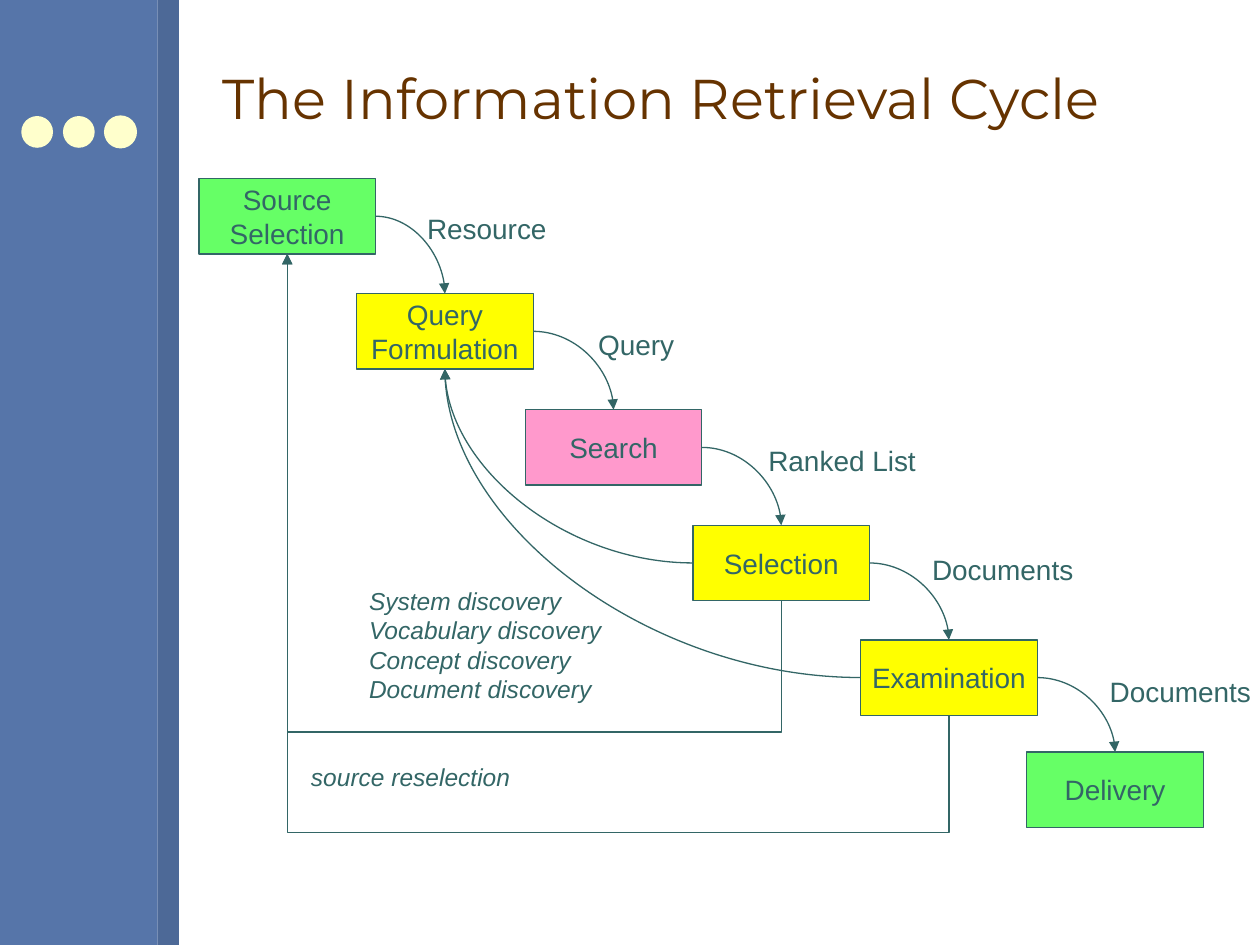
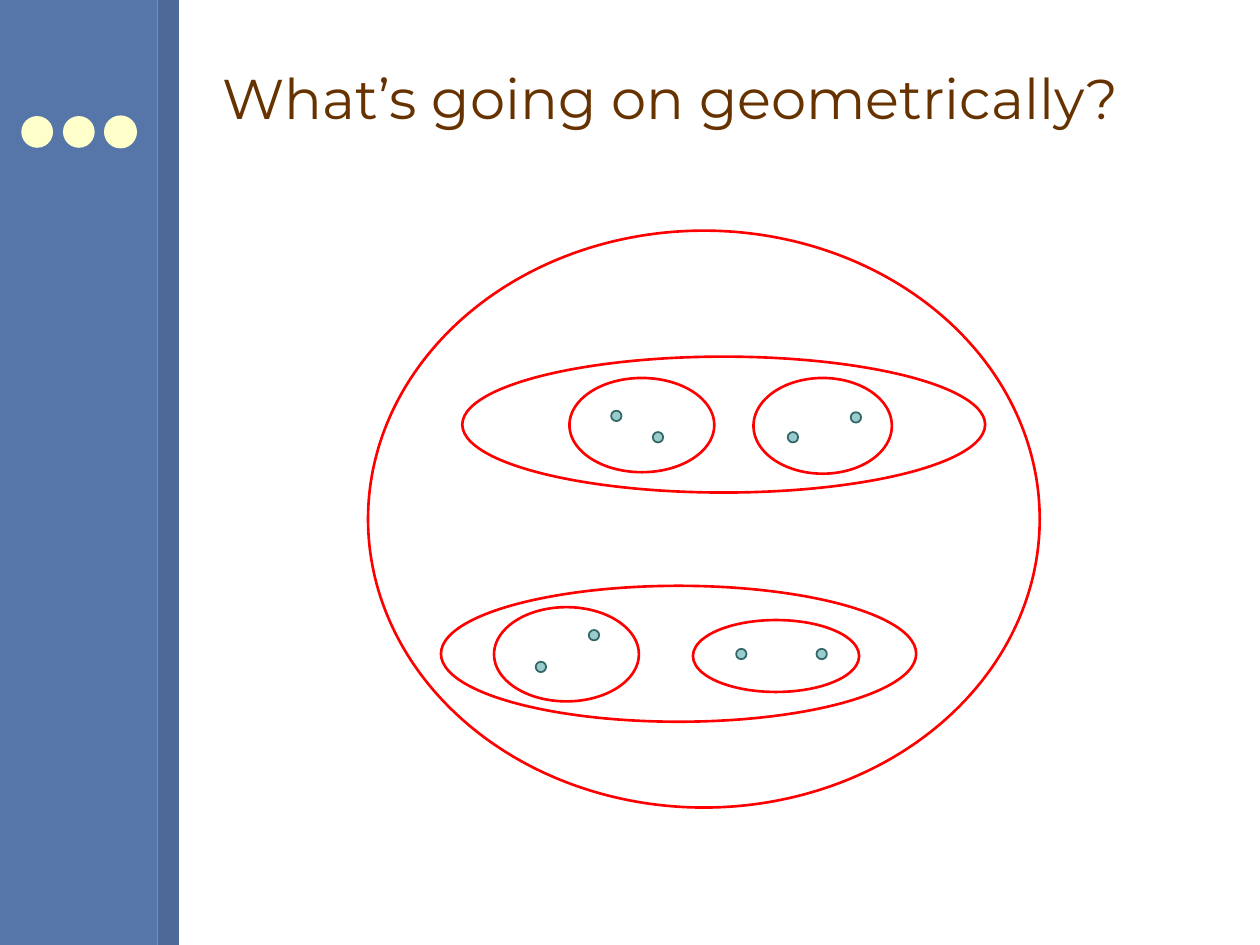
import pptx
import pptx.util
import pptx.dml.color
import pptx.enum.shapes
import pptx.enum.text
import pptx.oxml
import pptx.oxml.ns

Cm = pptx.util.Cm
Pt = pptx.util.Pt
SHAPE = pptx.enum.shapes.MSO_SHAPE
CONNECTOR = pptx.enum.shapes.MSO_CONNECTOR
ANCHOR = pptx.enum.text.MSO_ANCHOR
ALIGN = pptx.enum.text.PP_ALIGN

COLORS = {
    "band": "5675A9", "strip": "4D6997", "dot": "FFFFCC", "title": "663300",
    "ink": "336666", "green": "66FF66", "yellow": "FFFF00", "pink": "FF99CC",
    "point": "99CCCC", "cluster": "FF0000",
}
FONTS = {
    "title": {"name": "Montserrat", "size": Pt(32)},
    "body": {"name": "Arial", "size": Pt(16)},
    "note": {"name": "Arial", "size": Pt(14), "italic": True},
}
INSETS = {"margin_left": Cm(0.25), "margin_right": Cm(0.25),
          "margin_top": Cm(0.13), "margin_bottom": Cm(0.13)}

# Boxes: left, top, width, height in centimetres
PAGE = (0, 0, 25.4, 19.05)
TITLE_BOX = (4.24, 0.53, 20.32, 2.87)
CYCLE_BOX = (4.01, 3.6, 20.25, 13.2)
CLUSTER_BOX = (7.42, 4.65, 13.54, 11.63)

# Text, fill, left, top within the cycle; then the label of the outgoing arrow
# with its distance right of the step, below its top, and its width
STEP_WIDTH, STEP_HEIGHT = 3.56, 1.52
STEPS = [
    ("Source\nSelection", "green", 0, 0, ("Resource", 0.79, 0.54, 2.92)),
    ("Query\nFormulation", "yellow", 3.18, 2.32, ("Query", 1.06, 0.56, 2.06)),
    ("Search", "pink", 6.58, 4.66, ("Ranked List", 1.09, 0.55, 3.48)),
    ("Selection", "yellow", 9.96, 6.99, ("Documents", 1.01, 0.41, 3.35)),
    ("Examination", "yellow", 13.34, 9.3, ("Documents", 1.21, 0.56, 3.35)),
    ("Delivery", "green", 16.69, 11.56, None),
]
NOTES = [
    ("source reselection", (2.01, 11.64, 5.84, 0.86)),
    ("System discovery\nVocabulary discovery\nConcept discovery\nDocument discovery",
     (3.18, 8.08, 5.21, 2.64)),
]
RESELECTION_FLOORS = {3: 11.16, 4: 13.19}  # step: lowest level of its return line

# Positions within the outermost cluster
CLUSTERS = [
    (4.06, 2.97, 2.92, 1.9), (6.55, 7.85, 3.35, 1.45),
    (7.77, 2.97, 2.79, 1.93), (2.54, 7.59, 2.92, 1.9),
    (1.9, 2.54, 10.54, 2.74), (1.47, 7.16, 9.58, 2.74),
    (0, 0, 13.54, 11.63),
]
POINT_SIZE = 0.21
POINTS = [(4.9, 3.63), (5.74, 4.06), (3.38, 8.69), (4.45, 8.05),
          (8.46, 4.06), (9.73, 3.66), (7.42, 8.43), (9.04, 8.43)]


def color(name):
    return pptx.dml.color.RGBColor.from_string(COLORS[name])


def within(box, part):
    """Move a part (left, top, ...) into the given box."""
    return (box[0] + part[0], box[1] + part[1], *part[2:])


def set_attributes(target, values):
    for name, value in values.items():
        setattr(target, name, value)


def write(shape, text, font, ink="ink", align=ALIGN.LEFT, anchor=ANCHOR.TOP, wrap=False):
    frame = shape.text_frame
    set_attributes(frame, {**INSETS, "text": text, "vertical_anchor": anchor,
                           "word_wrap": wrap})
    for paragraph in frame.paragraphs:
        paragraph.alignment = align
        set_attributes(paragraph.font, FONTS[font])
        paragraph.font.color.rgb = color(ink)


def add_text(slide, box, text, font, **options):
    write(slide.shapes.add_textbox(*map(Cm, box)), text, font, **options)


def add_shape(slide, kind, box, fill=None, line=None, weight=0.75):
    shape = slide.shapes.add_shape(kind, *map(Cm, box))
    shape.shadow.inherit = False
    if fill:
        shape.fill.solid()
        shape.fill.fore_color.rgb = color(fill)
    else:
        shape.fill.background()
    if line:
        shape.line.color.rgb = color(line)
        shape.line.width = Pt(weight)
    else:
        shape.line.fill.background()
    return shape


def add_arrow(slide, kind, start, end):
    arrow = slide.shapes.add_connector(kind, *map(Cm, (*start, *end)))
    arrow.line.color.rgb = color("ink")
    arrow.line.width = Pt(0.75)
    line = arrow.line._get_or_add_ln()
    line.append(pptx.oxml.parse_xml(
        f'<a:tailEnd {pptx.oxml.ns.nsdecls("a")} type="triangle"/>'))
    properties = arrow._element.spPr
    properties.append(pptx.oxml.parse_xml(f'<a:effectLst {pptx.oxml.ns.nsdecls("a")}/>'))
    return properties


def add_curve(slide, start, end):
    """Quarter curve that leaves sideways and arrives vertically."""
    properties = add_arrow(slide, CONNECTOR.CURVE, start, end)
    properties.find(pptx.oxml.ns.qn("a:prstGeom")).set("prst", "curvedConnector2")


def add_return(slide, start, end, floor):
    """Bent line that drops to the floor, runs left and rises to the end."""
    center_x, center_y = (start[0] + end[0]) / 2, (start[1] + end[1]) / 2
    rise, run = start[1] - end[1], start[0] - end[0]
    # Drawn lying on its side, then turned by three quarters
    properties = add_arrow(slide, CONNECTOR.ELBOW,
                           (center_x - rise / 2, center_y + run / 2),
                           (center_x + rise / 2, center_y - run / 2))
    properties.find(pptx.oxml.ns.qn("a:xfrm")).set("rot", str(270 * 60000))
    geometry = properties.find(pptx.oxml.ns.qn("a:prstGeom"))
    adjustment = round(-(floor - start[1]) / rise * 100000)
    for child in list(geometry):
        geometry.remove(child)
    geometry.append(pptx.oxml.parse_xml(
        f'<a:avLst {pptx.oxml.ns.nsdecls("a")}>'
        f'<a:gd name="adj1" fmla="val {adjustment}"/></a:avLst>'))


def draw_sidebar(slide, box):
    height = box[3]
    add_shape(slide, SHAPE.RECTANGLE, within(box, (0, 0, 3.18, height)), "band")
    add_shape(slide, SHAPE.RECTANGLE, within(box, (3.18, 0, 0.43, height)), "strip")
    for index, outline in enumerate((None, None, "dot")):
        dot = within(box, (0.43 + 0.84 * index, 2.34, 0.64, 0.64))
        add_shape(slide, SHAPE.OVAL, dot, "dot", outline)


def start_slide(presentation, title):
    slide = presentation.slides.add_slide(presentation.slide_layouts[6])
    draw_sidebar(slide, PAGE)
    add_text(slide, TITLE_BOX, title, "title", ink="title", anchor=ANCHOR.MIDDLE, wrap=True)
    return slide


def draw_cycle(slide, box):
    # Steps and the labels of what they pass on
    corners = []
    for text, fill, left, top, label in STEPS:
        corner = within(box, (left, top))
        corners.append(corner)
        step = add_shape(slide, SHAPE.RECTANGLE, (*corner, STEP_WIDTH, STEP_HEIGHT), fill, "ink")
        write(step, text, "body", align=ALIGN.CENTER, anchor=ANCHOR.MIDDLE)
        if label:
            name, gap, drop, width = label
            place = within(corner, (STEP_WIDTH + gap, drop, width, 0.94))
            add_text(slide, place, name, "body")

    # Connection sites of each step
    tops = [within(corner, (STEP_WIDTH / 2, 0)) for corner in corners]
    bottoms = [within(corner, (STEP_WIDTH / 2, STEP_HEIGHT)) for corner in corners]
    lefts = [within(corner, (0, STEP_HEIGHT / 2)) for corner in corners]
    rights = [within(corner, (STEP_WIDTH, STEP_HEIGHT / 2)) for corner in corners]

    # Forward arrows, then feedback to the query and to the source
    for start, end in zip(rights, tops[1:]):
        add_curve(slide, start, end)
    for step, floor in RESELECTION_FLOORS.items():
        add_curve(slide, lefts[step], bottoms[1])
        add_return(slide, bottoms[step], bottoms[0], box[1] + floor)
    for text, place in NOTES:
        add_text(slide, within(box, place), text, "note")


def draw_clusters(slide, box):
    for point in POINTS:
        place = within(box, (*point, POINT_SIZE, POINT_SIZE))
        add_shape(slide, SHAPE.OVAL, place, "point", "ink", 1)
    for cluster in CLUSTERS:
        add_shape(slide, SHAPE.OVAL, within(box, cluster), line="cluster", weight=1.5)


def main():
    presentation = pptx.Presentation()
    presentation.slide_width, presentation.slide_height = map(Cm, PAGE[2:])
    draw_cycle(start_slide(presentation, "The Information Retrieval Cycle"), CYCLE_BOX)
    draw_clusters(start_slide(presentation, "What’s going on geometrically?"), CLUSTER_BOX)
    presentation.save("out.pptx")


if __name__ == "__main__":
    main()
